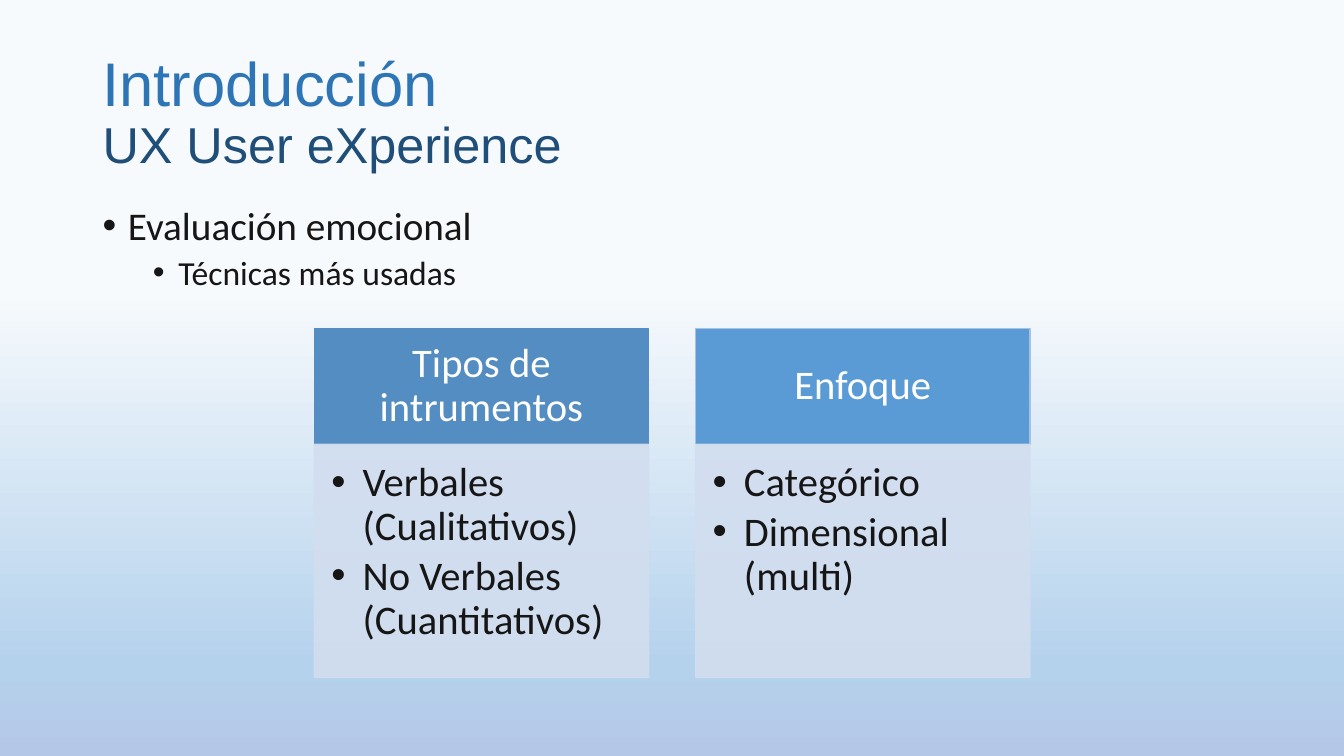
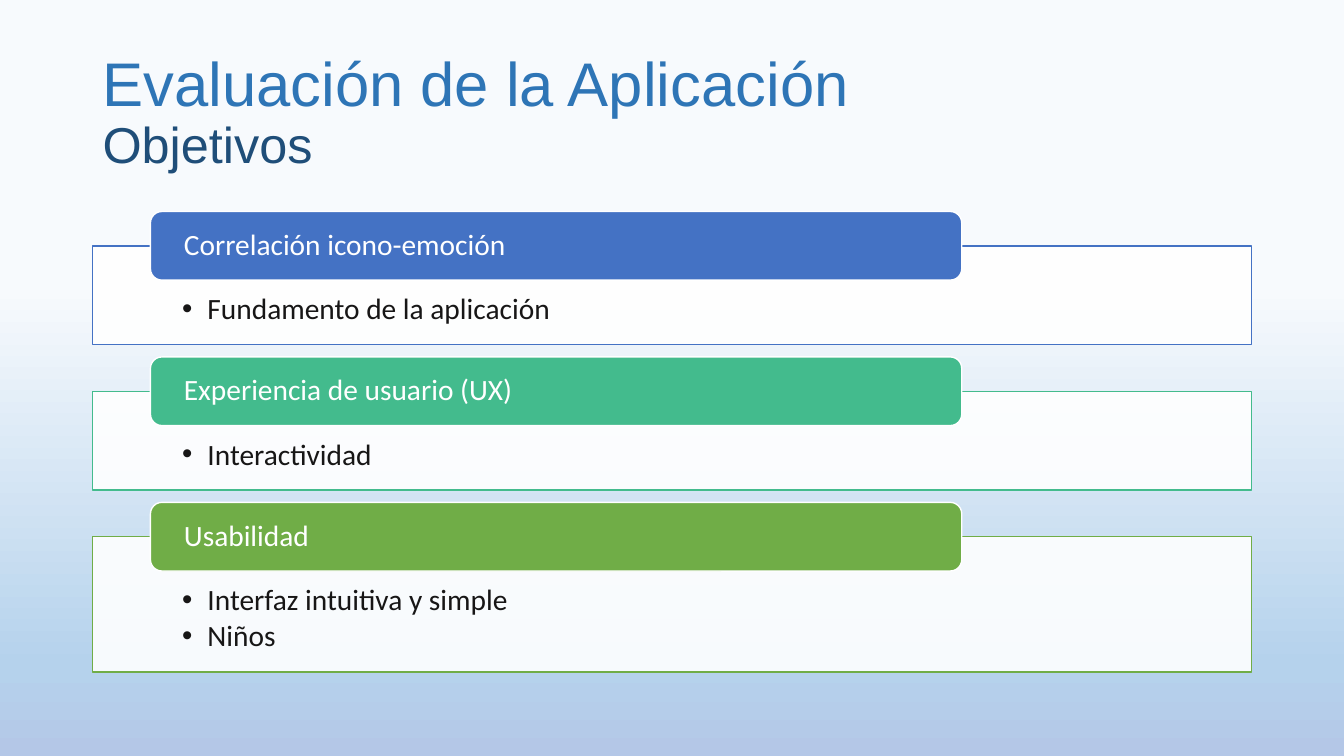
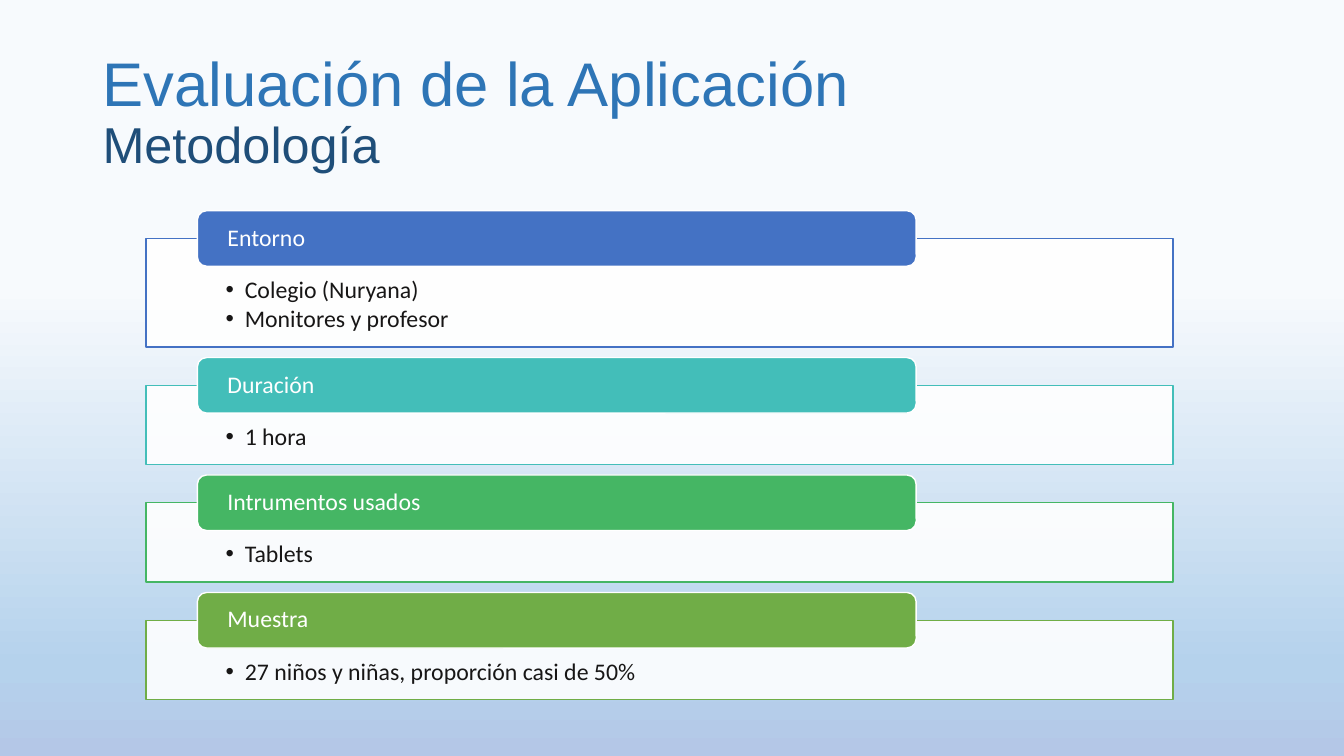
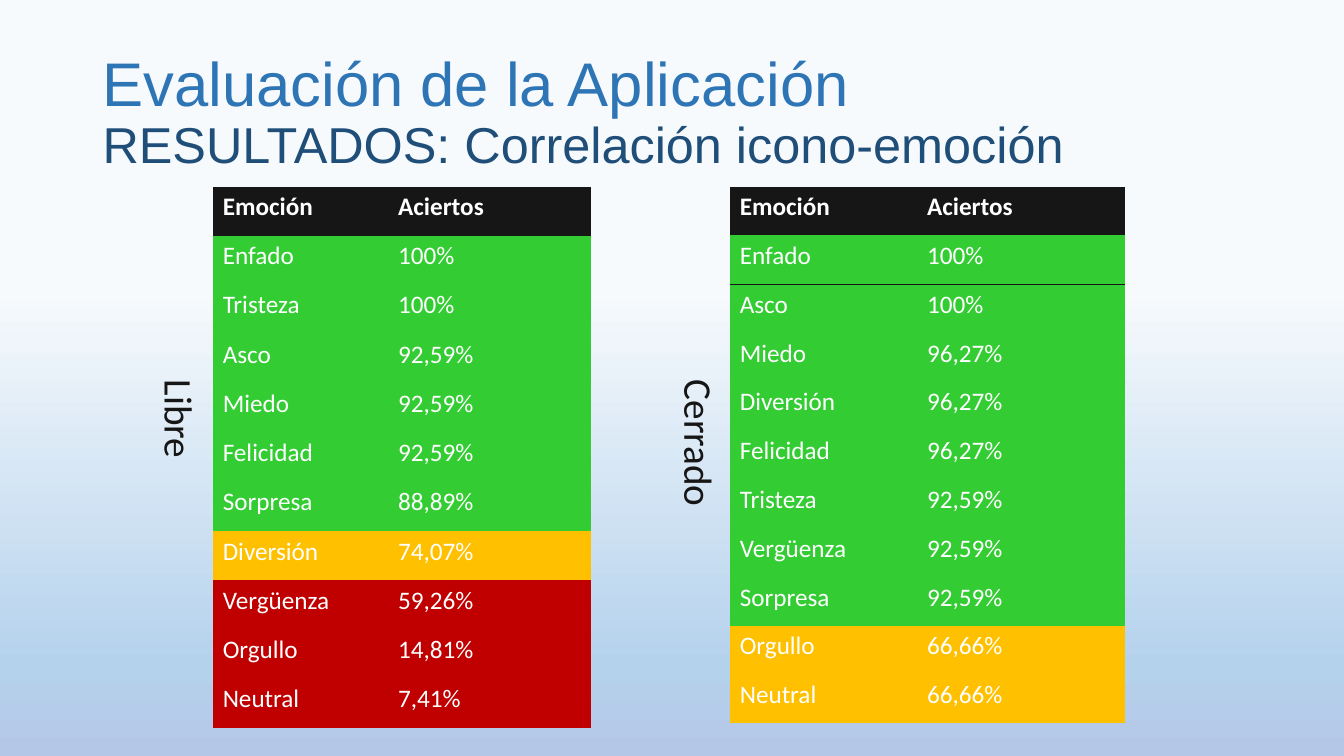
from dataclasses import dataclass

from lxml import etree
from pptx import Presentation
from pptx import util as u
from pptx.dml.color import RGBColor
from pptx.enum import shapes, text
from pptx.oxml.ns import qn


@dataclass(frozen=True)
class Theme:
    heading_font: str = "Arial"
    body_font: str = "Calibri"
    ink: str = "171616"
    white: str = "FFFFFF"
    title: str = "2E75B6"
    subtitle: str = "1F4E79"
    steel: str = "538DC1"
    sky: str = "5B9BD5"
    sky_edge: str = "A5C1E3"
    mist: str = "D2DEEF"
    blue: str = "4472C4"
    jade: str = "43BB8D"
    teal: str = "43BEB9"
    emerald: str = "45B664"
    olive: str = "70AD47"
    good: str = "33CC33"
    fair: str = "FFC000"
    poor: str = "C00000"
    backdrop: tuple = ((38, "F7FAFD"), (88, "B5D2EC"), (100, "B4C7E7"))
    title_size: int = 44
    subtitle_size: int = 36
    list_sizes: tuple = (28, 24)
    column_size: int = 29
    label_size: int = 28
    table_size: int = 18


@dataclass(frozen=True)
class Accordion:
    left: float
    top: float
    width: float
    tab_height: float
    gap: float
    panel_base: float
    panel_line: float
    panel_insets: tuple
    tab_inset: float
    indent: float
    size: int


THEME = Theme()
ROOMY = Accordion(2.33, 5.33, 29.21, 1.73, 0.31, 1.57, 0.92,
                  (2.26, 1.22, 2.26, 0.41), 0.76, 0.64, 21)
COMPACT = Accordion(3.68, 5.31, 25.88, 1.4, 0.26, 1.26, 0.74,
                    (2.01, 0.99, 2.01, 0.33), 0.69, 0.48, 17)
NO_GRID_STYLE = "{2D5ABB26-0587-4C30-8999-92F81FD0307C}"


def rgb(color):
    return RGBColor.from_string(color)


def add_color(parent, color):
    return etree.SubElement(parent, qn("a:srgbClr"), val=color)


def style_span(span, size, color, font=THEME.body_font, bold=False):
    span.font.name = font
    span.font.size = u.Pt(size)
    span.font.bold = bold
    span.font.color.rgb = rgb(color)


def style_para(para, size, color, after=0, before=0, spacing=0.9):
    para.line_spacing = spacing
    para.space_before = u.Pt(before)
    para.space_after = u.Pt(after)
    for span in para.runs:
        style_span(span, size, color)


def add_bullet(para, left, hang):
    settings = para._p.get_or_add_pPr()
    settings.set("marL", str(u.Cm(left)))
    settings.set("indent", str(-u.Cm(hang)))
    etree.SubElement(settings, qn("a:buFont"), typeface=THEME.heading_font)
    etree.SubElement(settings, qn("a:buChar"), char="•")


def set_insets(frame, insets):
    (frame.margin_left, frame.margin_top,
     frame.margin_right, frame.margin_bottom) = map(u.Cm, insets)


def prepare_master(deck):
    master = deck.slide_master
    fill = master.background.fill
    fill.gradient()
    fill.gradient_angle = 270
    stops = master.element.find(".//" + qn("a:gsLst"))
    for stop in list(stops):
        stops.remove(stop)
    for position, color in THEME.backdrop:
        stop = etree.SubElement(stops, qn("a:gs"), pos=str(position * 1000))
        add_color(stop, color)
    for holder, top, height in zip(master.placeholders, (1.02, 5.08), (3.68, 12.09)):
        holder.left, holder.width = u.Cm(2.33), u.Cm(29.21)
        holder.top, holder.height = u.Cm(top), u.Cm(height)


def add_page(deck, layout, heading, subheading):
    page = deck.slides.add_slide(deck.slide_layouts.get_by_name(layout))
    frame = page.shapes.title.text_frame
    frame.text = f"{heading}\v{subheading}"
    frame.vertical_anchor = text.MSO_ANCHOR.MIDDLE
    frame.auto_size = text.MSO_AUTO_SIZE.NONE
    para = frame.paragraphs[0]
    para.alignment = text.PP_ALIGN.LEFT
    para.line_spacing = 0.9
    first, second = para.runs
    style_span(first, THEME.title_size, THEME.title, THEME.heading_font)
    style_span(second, THEME.subtitle_size, THEME.subtitle, THEME.heading_font)
    return page


def fill_outline(page, entries):
    frame = page.placeholders[1].text_frame
    frame.text = "\n".join(entries)
    frame.auto_size = text.MSO_AUTO_SIZE.NONE
    for level, (para, size) in enumerate(zip(frame.paragraphs, THEME.list_sizes)):
        para.level = level
        add_bullet(para, 0.64 + 1.27 * level, 0.64)
        style_para(para, size, THEME.ink, before=5 * level)


def add_box(page, preset, place, fill, line, insets, opacity=100):
    box = page.shapes.add_shape(preset, *map(u.Cm, place))
    box.shadow.inherit = False
    box.fill.solid()
    box.fill.fore_color.rgb = rgb(fill)
    box.line.color.rgb = rgb(line)
    box.line.width = u.Pt(1)
    if opacity < 100:
        for color in box.element.spPr.iter(qn("a:srgbClr")):
            if color.get("val") == fill:
                etree.SubElement(color, qn("a:alpha"), val=str(opacity * 1000))
    box.text_frame.word_wrap = True
    set_insets(box.text_frame, insets)
    return box


def add_heading_box(page, preset, place, fill, line, insets, label, size, align):
    box = add_box(page, preset, place, fill, line, insets)
    frame = box.text_frame
    frame.text = label
    frame.vertical_anchor = text.MSO_ANCHOR.MIDDLE
    frame.paragraphs[0].alignment = align
    style_para(frame.paragraphs[0], size, THEME.white)


def add_list_box(page, place, fill, line, insets, items, size, indent):
    box = add_box(page, shapes.MSO_SHAPE.RECTANGLE, place, fill, line, insets, 90)
    frame = box.text_frame
    frame.text = "\n".join(items)
    frame.vertical_anchor = text.MSO_ANCHOR.TOP
    for para in frame.paragraphs:
        para.alignment = text.PP_ALIGN.LEFT
        add_bullet(para, indent, indent)
        style_para(para, size, THEME.ink, after=0.15 * size)


def add_columns(page, columns):
    left, top, width, step = 7.92, 8.28, 8.43, 9.61
    head, body = 2.92, 5.87
    for number, (label, fill, line, items) in enumerate(columns):
        x = left + number * step
        add_heading_box(page, shapes.MSO_SHAPE.RECTANGLE, (x, top, width, head),
                        fill, line, (0.58, 0.33, 0.58, 0.33), label,
                        THEME.column_size, text.PP_ALIGN.CENTER)
        add_list_box(page, (x, top + head, width, body), THEME.mist, THEME.mist,
                     (0.43, 0.43, 0.58, 0.64), items, THEME.column_size, 0.79)


def add_accordion(page, style, sections):
    top = style.top
    for label, color, items in sections:
        panel_top = top + style.tab_height / 2
        panel_height = style.panel_base + style.panel_line * len(items)
        add_list_box(page, (style.left, panel_top, style.width, panel_height),
                     THEME.white, color, style.panel_insets, items,
                     style.size, style.indent)
        tab = (style.left + 0.05 * style.width, top, 0.7 * style.width, style.tab_height)
        add_heading_box(page, shapes.MSO_SHAPE.ROUNDED_RECTANGLE, tab, color,
                        THEME.white, (style.tab_inset, 0, style.tab_inset, 0),
                        label, style.size, text.PP_ALIGN.LEFT)
        top = panel_top + panel_height + style.gap


def score_color(score):
    value = float(score.strip("%").replace(",", "."))
    if value >= 80:
        return THEME.good
    return THEME.fair if value >= 60 else THEME.poor


def underline_cell(cell):
    line = etree.Element(qn("a:lnB"), w=str(u.Pt(1)))
    add_color(etree.SubElement(line, qn("a:solidFill")), THEME.ink)
    cell._tc.get_or_add_tcPr().insert(0, line)


def add_score_table(page, left, widths, row_height, scores, ruled_row=None):
    rows = [("Emoción", "Aciertos"), *scores]
    graphic = page.shapes.add_table(len(rows), 2, u.Cm(left), u.Cm(4.7),
                                    u.Cm(sum(widths)), u.Cm(row_height * len(rows)))
    table = graphic.table
    table.horz_banding = False
    graphic.element.find(".//" + qn("a:tableStyleId")).text = NO_GRID_STYLE
    for column, width in zip(table.columns, widths):
        column.width = u.Cm(width)
    for number, values in enumerate(rows):
        table.rows[number].height = u.Cm(row_height)
        fill = score_color(values[1]) if number else THEME.ink
        for cell, value in zip(table.rows[number].cells, values):
            cell.text = value
            cell.fill.solid()
            cell.fill.fore_color.rgb = rgb(fill)
            style_span(cell.text_frame.paragraphs[0].runs[0], THEME.table_size,
                       THEME.white, bold=number == 0)
            if number == ruled_row:
                underline_cell(cell)


def add_vertical_label(page, left, label):
    box = page.shapes.add_textbox(u.Cm(left), u.Cm(9.32), u.Cm(1.7), u.Cm(4.34))
    frame = box.text_frame
    frame.word_wrap = True
    frame.text = label
    frame._txBody.bodyPr.set("vert", "eaVert")
    style_para(frame.paragraphs[0], THEME.label_size, THEME.ink, spacing=1)


def main():
    deck = Presentation()
    deck.slide_width, deck.slide_height = u.Cm(33.87), u.Cm(19.05)
    prepare_master(deck)
    evaluation = "Evaluación de la Aplicación"

    page = add_page(deck, "Title and Content", "Introducción", "UX User eXperience")
    fill_outline(page, ("Evaluación emocional", "Técnicas más usadas"))
    add_columns(page, (
        ("Tipos de intrumentos", THEME.steel, THEME.steel,
         ("Verbales (Cualitativos)", "No Verbales (Cuantitativos)")),
        ("Enfoque", THEME.sky, THEME.sky_edge,
         ("Categórico", "Dimensional (multi)")),
    ))

    page = add_page(deck, "Title Only", evaluation, "Objetivos")
    add_accordion(page, ROOMY, (
        ("Correlación icono-emoción", THEME.blue, ("Fundamento de la aplicación",)),
        ("Experiencia de usuario (UX)", THEME.jade, ("Interactividad",)),
        ("Usabilidad", THEME.olive, ("Interfaz intuitiva y simple", "Niños")),
    ))

    page = add_page(deck, "Title Only", evaluation, "Metodología")
    add_accordion(page, COMPACT, (
        ("Entorno", THEME.blue, ("Colegio (Nuryana)", "Monitores y profesor")),
        ("Duración", THEME.teal, ("1 hora",)),
        ("Intrumentos usados", THEME.emerald, ("Tablets",)),
        ("Muestra", THEME.olive, ("27 niños y niñas, proporción casi de 50%",)),
    ))

    page = add_page(deck, "Title Only", evaluation,
                    "RESULTADOS: Correlación icono-emoción")
    add_score_table(page, 5.36, (4.42, 5.11), 1.24, (
        ("Enfado", "100%"), ("Tristeza", "100%"), ("Asco", "92,59%"),
        ("Miedo", "92,59%"), ("Felicidad", "92,59%"), ("Sorpresa", "88,89%"),
        ("Diversión", "74,07%"), ("Vergüenza", "59,26%"), ("Orgullo", "14,81%"),
        ("Neutral", "7,41%"),
    ))
    add_score_table(page, 18.39, (4.72, 5.23), 1.23, (
        ("Enfado", "100%"), ("Asco", "100%"), ("Miedo", "96,27%"),
        ("Diversión", "96,27%"), ("Felicidad", "96,27%"), ("Tristeza", "92,59%"),
        ("Vergüenza", "92,59%"), ("Sorpresa", "92,59%"), ("Orgullo", "66,66%"),
        ("Neutral", "66,66%"),
    ), ruled_row=1)
    add_vertical_label(page, 3.56, "Libre")
    add_vertical_label(page, 16.66, "Cerrado")

    deck.save("out.pptx")


if __name__ == "__main__":
    main()
